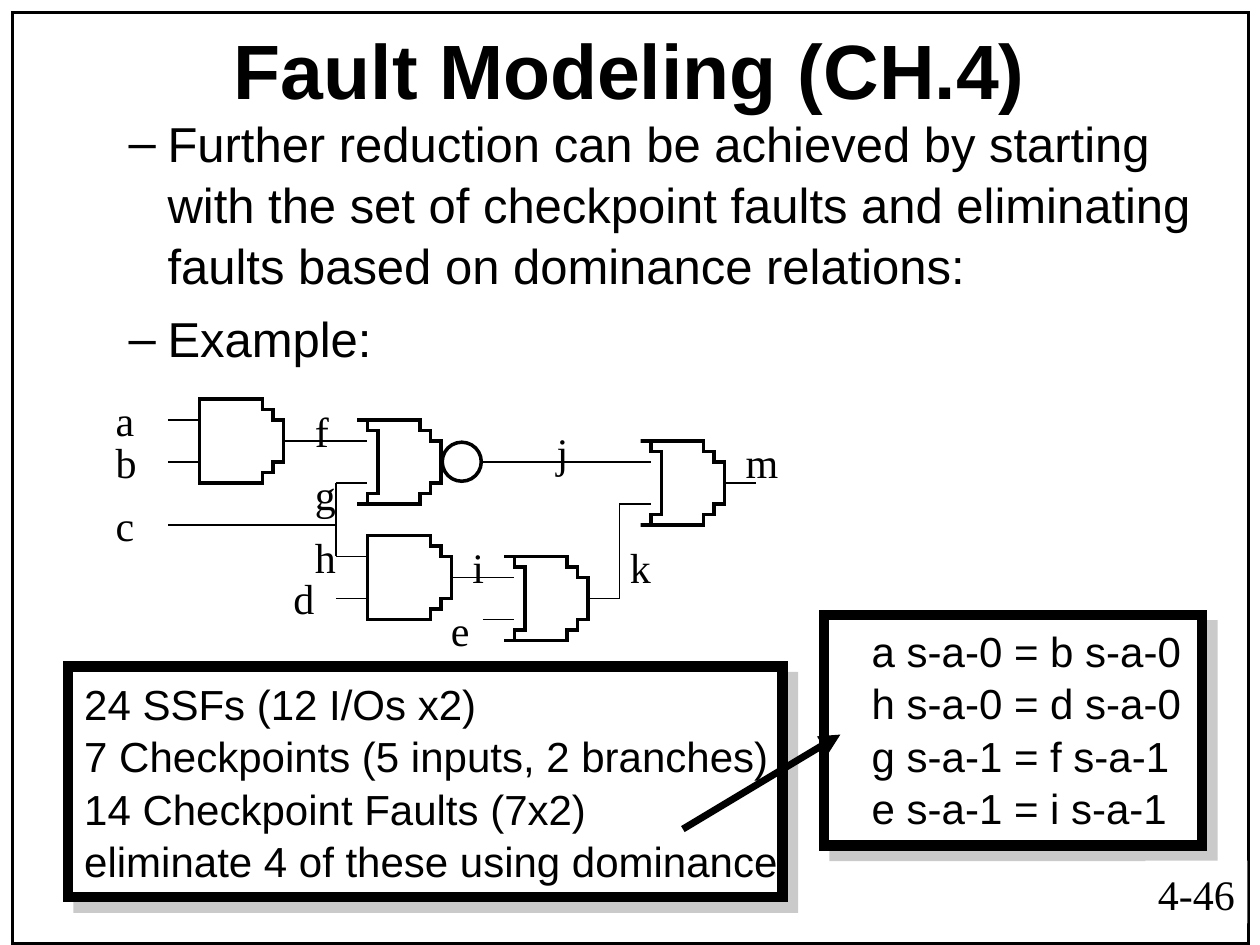
"""Builds the fault modeling slide with its gate circuit and checkpoint counts."""
from math import cos, pi, sin

from lxml import etree
from pptx import Presentation, util as u
from pptx.dml.color import RGBColor
from pptx.enum import shapes, text
from pptx.oxml.ns import qn

BLACK, WHITE, SHADE = "000000", "FFFFFF", "969696"
SANS, SERIF = "Arial", "Times New Roman"
GRID = 1 / 12
GATE, RADIUS, LEAD = 8, 4, 3

TITLE = "Fault Modeling (CH.4)"
POINTS = [
    "Further reduction can be achieved by starting with the set of checkpoint "
    "faults and eliminating faults based on dominance relations:",
    "Example:",
]
COUNTS = [
    "24 SSFs (12 I/Os x2)",
    "7 Checkpoints (5 inputs, 2 branches)",
    "14 Checkpoint Faults (7x2)",
    "eliminate 4 of these using dominance",
]
DOMINANCE = ["a s-a-0 = b s-a-0", "h s-a-0 = d s-a-0",
             "g s-a-1 = f s-a-1", "e s-a-1 = i s-a-1"]
PANELS = [((6.54, 4.88, 3, 1.83), (6.82, 4.9, 2.66, 1.7), DOMINANCE),
          ((0.54, 5.29, 5.67, 1.83), (0.57, 5.32, 5.71, 1.7), COUNTS)]

# Gates and wires are in grid units, signal names in inches.
GATES = [("and", 19, 38), ("or", 48, 53), ("and", 35, 51), ("or", 34, 40), ("or", 61, 42)]
BUBBLE = (42.12, 42.12, 3.72, 3.72)
WIRES = [((30, 42), (33, 42)), ((45, 44), (59, 44)), ((59, 57), (59, 48)),
         ((32, 46), (32, 53)), ((32, 50), (16, 50))]
SIGNALS = {
    "a": (0.82, 3.07, 0.35), "b": (0.82, 3.4, 0.37), "c": (0.82, 3.9, 0.35),
    "d": (2.23, 4.48, 0.37), "e": (3.48, 4.73, 0.35), "f": (2.4, 3.15, 0.31),
    "g": (2.4, 3.65, 0.37), "h": (2.4, 4.15, 0.37), "i": (3.65, 4.23, 0.29),
    "j": (4.32, 3.32, 0.29), "k": (4.9, 4.23, 0.37), "m": (5.82, 3.4, 0.46),
}


def rgb(value):
    """Turns a hex string into a colour."""
    return RGBColor.from_string(value)


def inches(values):
    """Converts numbers to inch lengths."""
    return [u.Inches(value) for value in values]


def on_grid(values):
    """Converts grid units to inches."""
    return [value * GRID for value in values]


def add_xml(parent, tag, **attributes):
    """Adds one drawing element to a parent."""
    return etree.SubElement(parent, qn(tag), attributes)


def stroke(shape, width, fill=None):
    """Gives a shape a black outline and a plain or empty fill."""
    shape.shadow.inherit = False
    if fill:
        shape.fill.solid()
        shape.fill.fore_color.rgb = rgb(fill)
    else:
        shape.fill.background()
    shape.line.color.rgb = rgb(BLACK)
    shape.line.width = u.Pt(width)
    add_xml(shape.line._get_or_add_ln(), "a:miter", lim="800000")
    return shape


def write(frame, lines, font, size, wrap=False, spacing=1.04, **paragraph_format):
    """Fills a text frame with one paragraph a line."""
    frame.word_wrap = wrap
    frame.auto_size = text.MSO_AUTO_SIZE.NONE
    for index, line in enumerate(lines):
        paragraph = frame.paragraphs[0] if index == 0 else frame.add_paragraph()
        paragraph.text = line
        for name, value in {"line_spacing": spacing, **paragraph_format}.items():
            setattr(paragraph, name, value)
        for name, value in {"name": font, "size": u.Pt(size)}.items():
            setattr(paragraph.font, name, value)
        paragraph.font.color.rgb = rgb(BLACK)
    return frame


def place(shape, box):
    """Moves and sizes a placeholder."""
    for name, value in zip(("left", "top", "width", "height"), inches(box)):
        setattr(shape, name, value)


def add_line(slide, start, end, width=1):
    """Draws a straight black line between two points in inches."""
    line = slide.shapes.add_connector(
        shapes.MSO_CONNECTOR.STRAIGHT, *inches(start), *inches(end))
    line.line.color.rgb = rgb(BLACK)
    line.line.width = u.Pt(width)
    add_xml(line._element.spPr, "a:effectLst")
    return line


def add_box(slide, kind, box, width, fill=None):
    """Draws an outlined preset shape."""
    return stroke(slide.shapes.add_shape(kind, *inches(box)), width, fill)


def add_label(slide, box, lines, font):
    """Adds a text box that does not wrap."""
    label = slide.shapes.add_textbox(*inches(box))
    write(label.text_frame, lines, font, 24)
    return label


def arc(x, y, reach, steps=32):
    """Lists points down a half ellipse that bulges to the right."""
    turns = [pi * (step / steps - 0.5) for step in range(steps + 1)]
    return [(x + reach * cos(turn), y + RADIUS * sin(turn)) for turn in turns]


def add_gate(slide, kind, left, top):
    """Draws a gate with two inputs and one output."""
    middle, right = top + RADIUS, left + GATE
    back = arc(left, middle, 2 if kind == "or" else 0)
    outline = arc(left + RADIUS, middle, RADIUS) + back[::-1]
    inlet = left + (1 if kind == "or" else 0)
    for y in (top + 2, top + 6):
        add_line(slide, on_grid((inlet - LEAD, y)), on_grid((inlet, y)))
    add_line(slide, on_grid((right, middle)), on_grid((right + LEAD, middle)))
    builder = slide.shapes.build_freeform(*outline[0], scale=u.Inches(GRID))
    builder.add_line_segments(outline[1:], close=True)
    stroke(builder.convert_to_shape(), 2)


def add_panel(slide, box, text_box, lines):
    """Draws a framed panel with a drop shadow and its text."""
    panel = add_box(slide, shapes.MSO_SHAPE.RECTANGLE, box, 6, WHITE)
    effects = panel._element.spPr.find(qn("a:effectLst"))
    shadow = add_xml(effects, "a:outerShdw", dist=str(u.Pt(8.5)), dir="2700000", algn="ctr")
    shade = add_xml(shadow, "a:srgbClr", val=SHADE)
    add_xml(shade, "a:alpha", val="50000")
    add_label(slide, text_box, lines, SANS)


def add_heading(slide):
    """Fills the title and the dashed list."""
    title, body = slide.placeholders
    place(title, (0.75, 0.17, 8.5, 0.75))
    heading = write(title.text_frame, [TITLE], SANS, 44, True, 1.0,
                    alignment=text.PP_ALIGN.CENTER)
    heading.vertical_anchor = text.MSO_ANCHOR.MIDDLE
    heading.paragraphs[0].font.bold = True
    place(body, (0.42, 0.83, 9.58, 2.08))
    points = write(body.text_frame, POINTS, SANS, 28, True, level=1, space_before=u.Pt(7))
    points.paragraphs[0].space_before = u.Pt(0)
    for paragraph in points.paragraphs:
        properties = paragraph._p.get_or_add_pPr()
        properties.set("marL", str(u.Inches(0.81)))
        properties.set("indent", str(u.Inches(-0.31)))
        bullet = etree.Element(qn("a:buChar"), char="–")
        properties.insert_element_before(bullet, "a:tabLst", "a:defRPr", "a:extLst")


def main():
    """Builds and saves the slide."""
    deck = Presentation()
    deck.slide_width, deck.slide_height = inches((10, 7.5))
    slide = deck.slides.add_slide(deck.slide_layouts[1])
    add_heading(slide)
    add_box(slide, shapes.MSO_SHAPE.RECTANGLE, (0.1, 0.1, 9.81, 7.39), 2)
    for gate in GATES:
        add_gate(slide, *gate)
    for start, end in WIRES:
        add_line(slide, on_grid(start), on_grid(end))
    add_box(slide, shapes.MSO_SHAPE.OVAL, on_grid(BUBBLE), 2, WHITE)
    for signal, (left, top, width) in SIGNALS.items():
        add_label(slide, (left, top, width, 0.5), [signal], SERIF)
    for panel in PANELS:
        add_panel(slide, *panel)
    arrow = add_line(slide, (5.42, 6.58), (6.67, 5.83), 4)
    add_xml(arrow.line._get_or_add_ln(), "a:tailEnd", type="triangle")
    page = add_label(slide, (9.09, 6.83, 0.81, 0.5), ["4-46"], SERIF)
    page.fill.solid()
    page.fill.fore_color.rgb = rgb(WHITE)
    deck.save("out.pptx")


if __name__ == "__main__":
    main()
